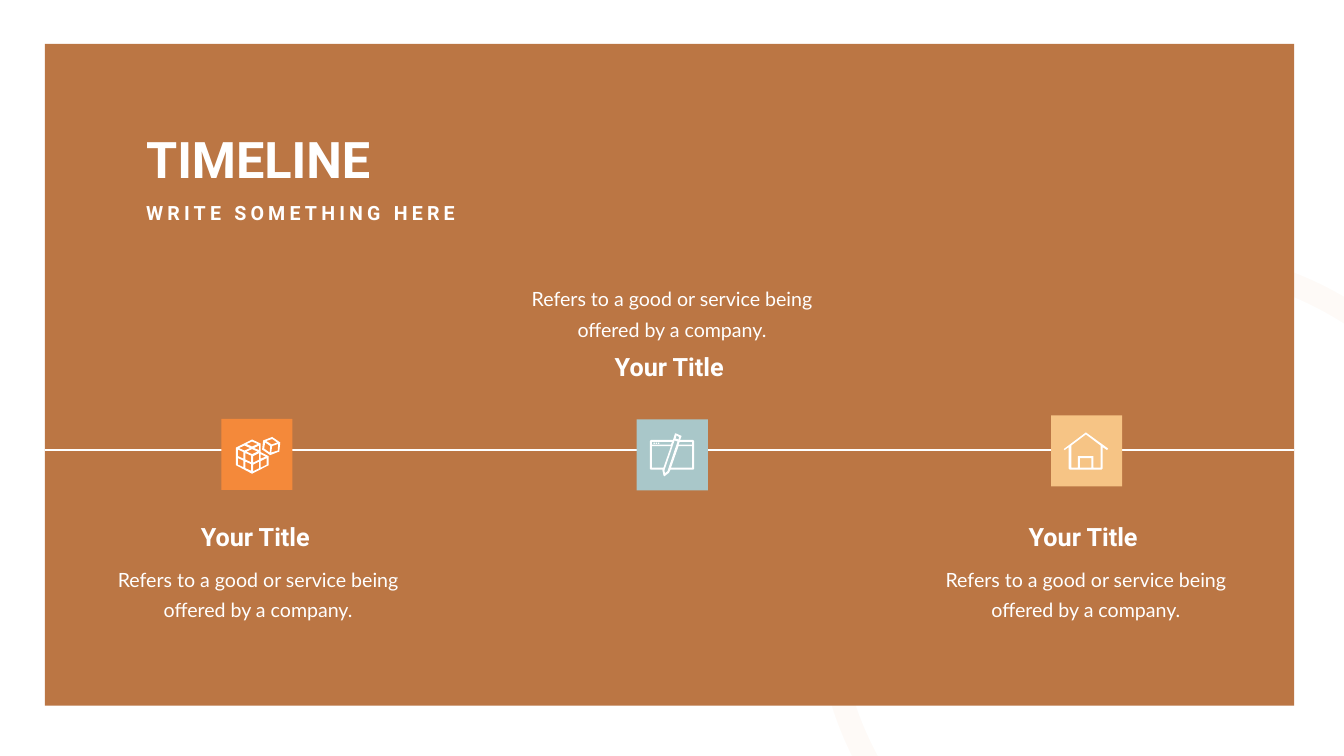
from lxml import etree
from pptx import Presentation
from pptx.dml.color import RGBColor
from pptx.enum.shapes import MSO_CONNECTOR, MSO_SHAPE
from pptx.enum.text import MSO_AUTO_SIZE, PP_ALIGN
from pptx.oxml.ns import qn
from pptx.util import Inches, Pt

RECTANGLE, OVAL = MSO_SHAPE.RECTANGLE, MSO_SHAPE.OVAL
STRAIGHT = MSO_CONNECTOR.STRAIGHT
LEFT, CENTER = PP_ALIGN.LEFT, PP_ALIGN.CENTER
GROW = MSO_AUTO_SIZE.SHAPE_TO_FIT_TEXT

WHITE, BROWN, ORANGE, BLUE, SAND = "FFFFFF", "BB7644", "F4893A", "A9C7C9", "F6C485"
HEADING_FONT, BODY_FONT = "Roboto", "Lato"
DESCRIPTION = "Refers to a good or service being offered by a company."
COLUMN_LEFT, COLUMN_STEP = 2.07, 8.21
MILESTONES = [
    (4.39, 8.31, ORANGE, 10.3, 11.01),
    (12.63, 8.32, BLUE, 6.93, 5.45),
    (20.85, 8.24, SAND, 10.3, 11.01),
]

SMALL_CUBE = [
    [(5.4, 8.67), (5.56, 8.78), (5.54, 8.96), (5.36, 9.03), (5.2, 8.92), (5.22, 8.74)],
    [(5.26, 8.78), (5.36, 8.85), (5.35, 8.98), (5.24, 8.9)],
    [(5.4, 8.71), (5.5, 8.78), (5.39, 8.82), (5.28, 8.75)],
    [(5.51, 8.94), (5.38, 8.98), (5.4, 8.85), (5.52, 8.81)],
]
WINDOW_AND_PENCIL = [
    [(12.91, 8.73), (13.35, 8.73), (13.39, 8.6), (13.41, 8.6), (13.52, 8.65),
     (13.49, 8.73), (13.75, 8.73), (13.77, 8.75), (13.77, 9.3), (13.75, 9.32),
     (13.3, 9.32), (13.27, 9.38), (13.18, 9.45), (13.16, 9.43), (13.14, 9.33),
     (13.15, 9.32), (12.91, 9.32), (12.89, 9.3), (12.89, 8.75)],
    [(13.73, 9.28), (13.31, 9.28), (13.46, 8.85), (13.73, 8.85)],
    [(13.19, 9.39), (13.18, 9.33), (13.38, 8.74), (13.44, 8.76), (13.24, 9.35)],
    [(12.93, 9.28), (12.93, 8.85), (13.31, 8.85), (13.16, 9.28)],
    [(12.93, 8.77), (13.33, 8.77), (13.31, 8.82), (12.93, 8.82)],
    [(13.42, 8.64), (13.47, 8.67), (13.46, 8.72), (13.4, 8.7)],
    [(13.73, 8.77), (13.73, 8.82), (13.46, 8.82), (13.48, 8.77)],
]
HOUSE = [
    [(21.54, 8.58), (21.98, 8.9), (21.96, 8.93), (21.87, 8.87), (21.87, 9.3),
     (21.85, 9.32), (21.22, 9.32), (21.2, 9.3), (21.2, 8.87), (21.12, 8.93),
     (21.1, 8.91)],
    [(21.83, 9.28), (21.69, 9.28), (21.69, 9.05), (21.38, 9.05), (21.38, 9.28),
     (21.25, 9.28), (21.25, 8.84), (21.54, 8.62), (21.83, 8.84)],
    [(21.42, 9.09), (21.65, 9.09), (21.65, 9.28), (21.42, 9.28)],
]


def color(value):
    """Turn a hex string into a colour."""
    return RGBColor.from_string(value)


def parallelogram(x, y, first, second):
    """Return the corners spanned by two edges from a starting corner."""
    (ax, ay), (bx, by) = first, second
    return [(x, y), (x + ax, y + ay), (x + ax + bx, y + ay + by), (x + bx, y + by)]


def large_cube():
    """Return the outline of the large cube and its tiles."""
    outline = [(5, 8.72), (5.17, 8.8), (5.17, 8.97), (5.33, 9.05),
               (5.33, 9.23), (5, 9.4), (4.68, 9.23), (4.68, 8.88)]
    left = [parallelogram(4.72 + 0.15 * i, 8.92 + 0.07 * i + 0.17 * j, (0.11, 0.05), (0, 0.13))
            for i in range(2) for j in range(2)]
    right = [parallelogram(x, y, (0.12, -0.06), (0, 0.13))
             for x, y in [(5.02, 9.05), (5.02, 9.22), (5.17, 9.15)]]
    top = [parallelogram(x, y, (0.11, -0.05), (0.11, 0.05))
           for x, y in [(4.89, 8.81), (4.74, 8.89), (4.89, 8.96)]]
    cut = [[(5.17, 9.1), (5.17, 9.01), (5.27, 9.06)],
           [(5.14, 8.93), (5.04, 8.89), (5.14, 8.84)]]
    return [outline] + left + right + top + cut


def paint(shape, fill):
    """Give a shape a plain fill without line or shadow."""
    shape.shadow.inherit = False
    shape.fill.solid()
    shape.fill.fore_color.rgb = color(fill)
    shape.line.fill.background()


def add_block(page, preset, left, top, width, height, fill):
    """Add a filled preset shape."""
    shape = page.shapes.add_shape(preset, Inches(left), Inches(top), Inches(width), Inches(height))
    paint(shape, fill)


def add_ring(page, left, top, size):
    """Add the large, nearly transparent background ring."""
    ring = page.shapes.add_shape(OVAL, Inches(left), Inches(top), Inches(size), Inches(size))
    ring.shadow.inherit = False
    ring.fill.background()
    ring.line.width = Pt(32.5)
    ring.line.color.rgb = color(ORANGE)
    shade = ring.line._ln.find(".//" + qn("a:srgbClr"))
    etree.SubElement(shade, qn("a:alpha")).set("val", "4000")


def add_axis(page, start, end, y):
    """Add the horizontal line of the timeline."""
    axis = page.shapes.add_connector(STRAIGHT, Inches(start), Inches(y), Inches(end), Inches(y))
    axis.line.color.rgb = color(WHITE)
    axis.line.width = Pt(2.5)
    etree.SubElement(axis._element.spPr, qn("a:effectLst"))


def add_icon(page, contours):
    """Add a white outline whose inner contours are holes."""
    rings = [[(Inches(x), Inches(y)) for x, y in contour] for contour in contours]
    builder = page.shapes.build_freeform(*rings[0][0])
    for index, ring in enumerate(rings):
        if index:
            builder.move_to(*ring[0])
        builder.add_line_segments(ring[1:], close=True)
    paint(builder.convert_to_shape(), WHITE)


def add_text(page, text, left, top, width, height, size, font=HEADING_FONT, align=LEFT):
    """Add a white text box, bold in the heading font, and return it."""
    box = page.shapes.add_textbox(Inches(left), Inches(top), Inches(width), Inches(height))
    frame = box.text_frame
    frame.word_wrap = True
    frame.auto_size = GROW
    frame.text = text
    para = frame.paragraphs[0]
    para.alignment = align
    span = para.runs[0].font
    span.name, span.size, span.bold = font, Pt(size), font == HEADING_FONT
    span.color.rgb = color(WHITE)
    return box


def add_description(page, left, top):
    """Add the explanation of one milestone."""
    frame = add_text(page, DESCRIPTION, left, top, 6.1, 1.39, 28, BODY_FONT, CENTER).text_frame
    frame.margin_left = frame.margin_right = Inches(0.24)
    frame.margin_top = frame.margin_bottom = Inches(0.12)
    frame.paragraphs[0].line_spacing = Pt(43)


def main():
    """Build the timeline slide."""
    deck = Presentation()
    deck.slide_width, deck.slide_height = Inches(26.66), Inches(15)
    page = deck.slides.add_slide(deck.slide_layouts[6])
    add_ring(page, 16.4, 5.16, 13.48)
    add_block(page, RECTANGLE, 0.89, 0.87, 24.78, 13.13, BROWN)
    add_axis(page, 0.89, 25.67, 8.93)
    add_text(page, "TIMELINE", 2.8, 2.49, 5.47, 1.31, 72)
    subtitle = add_text(page, "WRITE SOMETHING HERE", 2.8, 3.94, 6.41, 0.57, 28)
    subtitle.text_frame.paragraphs[0].runs[0].font._element.set("spc", "600")
    for index, (tile_left, tile_top, fill, title_top, body_top) in enumerate(MILESTONES):
        left = COLUMN_LEFT + COLUMN_STEP * index
        add_block(page, RECTANGLE, tile_left, tile_top, 1.41, 1.41, fill)
        add_description(page, left, body_top)
        add_text(page, "Your Title", left + 0.59, title_top, 4.81, 0.71, 36, align=CENTER)
    for contours in (WINDOW_AND_PENCIL, SMALL_CUBE, large_cube(), HOUSE):
        add_icon(page, contours)
    for index in range(3):
        add_block(page, OVAL, 12.96 + 0.045 * index, 8.78, 0.03, 0.03, WHITE)
    deck.save("out.pptx")


if __name__ == "__main__":
    main()
